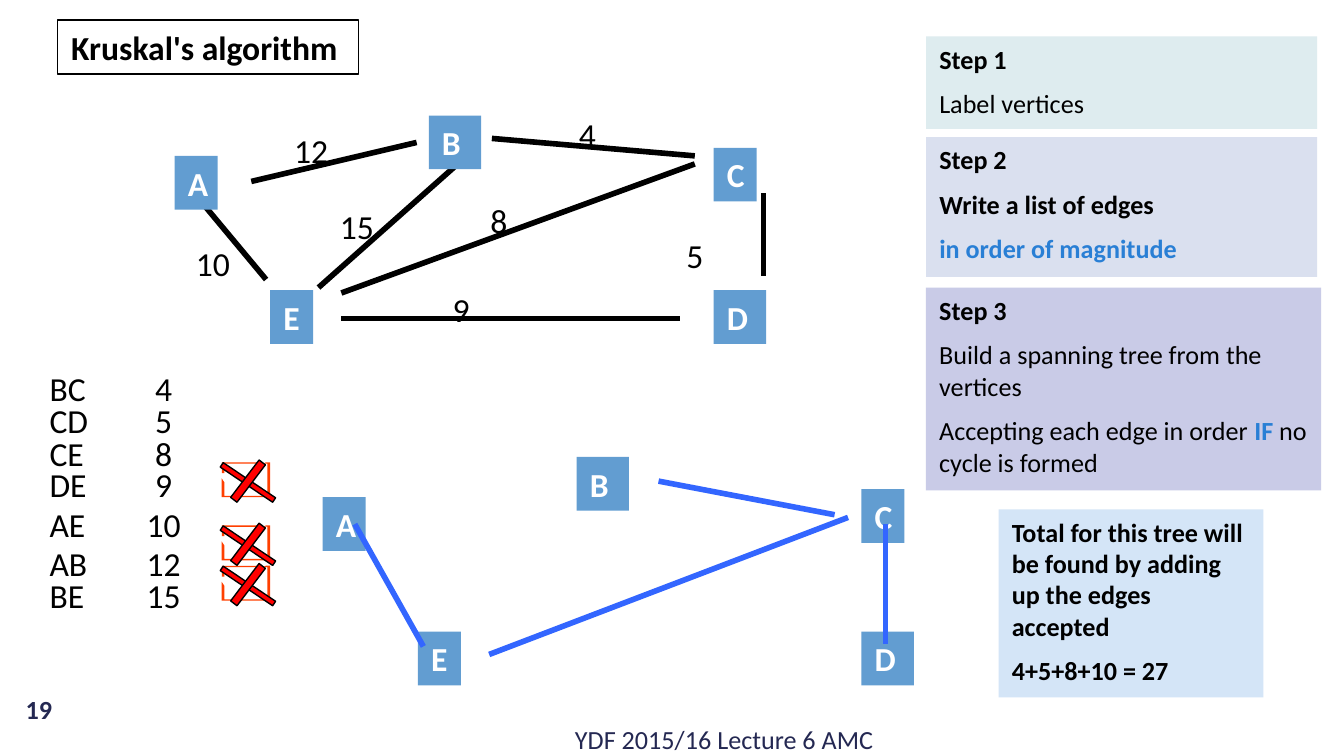
"""Builds the slide on Kruskal's algorithm with its graph, sorted edges and spanning tree."""

from typing import NamedTuple

from lxml.etree import SubElement
from pptx import Presentation
from pptx.dml.color import RGBColor
from pptx.enum.shapes import MSO_CONNECTOR as Connector, MSO_SHAPE as Preset
from pptx.enum.text import MSO_ANCHOR as Anchor, MSO_AUTO_SIZE as AutoSize, PP_ALIGN as Align
from pptx.oxml.ns import qn
from pptx.util import Emu, Inches, Pt

COLORS = {
    "black": "000000", "white": "FFFFFF", "navy": "242852", "vertex": "629DD1",
    "accent": "297FD5", "tree": "3366FF", "box": "FF3F00", "cross": "FF0000",
    "step1": "DEECEF", "step2": "DAE0EF", "step3": "C9CBE7", "total": "D4E5F7",
}
SLIDE_WIDTH = Inches(10)
SLIDE_HEIGHT = Emu(SLIDE_WIDTH * 9 // 16)
CELL = SLIDE_WIDTH // 100
TREE_SHIFT = (11, 25.4)
WEIGHT_TAB = 8.5


class Span(NamedTuple):
    text: str
    bold: bool = False
    color: str = "black"


class Area(NamedTuple):
    left: float
    top: float
    width: float
    height: float


class Vertex(NamedTuple):
    letter: str
    left: float
    top: float
    width: float


class Edge(NamedTuple):
    x1: float
    y1: float
    x2: float
    y2: float


class Weight(NamedTuple):
    value: str
    left: float
    top: float


class Ranked(NamedTuple):
    ends: str
    weight: int
    top: float


class Panel(NamedTuple):
    area: Area
    fill: str
    lines: list[list[Span]]


VERTICES = [
    Vertex("A", 13, 11.6, 3.2), Vertex("E", 20.1, 21.6, 3.2), Vertex("B", 31.9, 8.6, 3.9),
    Vertex("C", 53.1, 11, 3.2), Vertex("D", 53.1, 21.6, 3.9),
]
GRAPH_EDGES = [
    Edge(18.7, 13.5, 31, 10.6), Edge(25.4, 23.7, 50.6, 23.7), Edge(19.8, 20.8, 15.3, 15.4),
    Edge(25.4, 21.8, 51.7, 12.2), Edge(56.8, 20.5, 56.8, 14.4), Edge(36.6, 10.3, 51.7, 11.6),
    Edge(23.7, 21.4, 34.4, 11.9),
]
TREE_EDGES = [
    Edge(49, 35.8, 62.1, 38.3), Edge(65.9, 39, 65.9, 47.9),
    Edge(36.4, 48.7, 63.1, 38.5), Edge(26.4, 39, 31.5, 48.1),
]
WEIGHTS = [
    Weight("12", 20.9, 9.2), Weight("9", 32.7, 21), Weight("10", 13.6, 17.6),
    Weight("8", 35.5, 14.4), Weight("5", 50.1, 17), Weight("4", 42.1, 8),
    Weight("15", 24.3, 14.8),
]
RANKING = [
    Ranked("BC", 4, 26.9), Ranked("CD", 5, 29.3), Ranked("CE", 8, 31.7), Ranked("DE", 9, 34),
    Ranked("AE", 10, 37), Ranked("AB", 12, 39.9), Ranked("BE", 15, 42.3),
]
REJECTED_TOPS = [34.4, 39.1, 42.1]
BOX_OUTLINES = [
    [(3.1, 0.1), (3.3, 0), (3.6, 0), (3.6, 2.6), (0, 2.6), (0, 1.2), (0.2, 1.5),
     (0.2, 2.5), (3.4, 2.5), (3.4, 0.1)],
    [(2.6, 0.1), (0.2, 0.1), (0.2, 0.8), (0, 0.8), (0, 0), (2.8, 0)],
]
CROSS_BARS = [(Area(-0.4, 1.3, 4.7, 0.4), 33.8), (Area(0.2, 1.1, 3.5, 0.6), 127.2)]
PANELS = [
    Panel(Area(68.9, 2.7, 29.1, 6.9), "step1", [[Span("Step 1", True)], [Span("Label vertices")]]),
    Panel(Area(68.9, 10.2, 29.1, 10.4), "step2", [
        [Span("Step 2", True)], [Span("Write a list of edges", True)],
        [Span("in order of magnitude", True, "accent")]]),
    Panel(Area(68.9, 21.4, 29.4, 15.1), "step3", [
        [Span("Step 3", True)], [Span("Build a spanning tree from the vertices")],
        [Span("Accepting each edge in order "), Span("IF", True, "accent"),
         Span(" no cycle is formed")]]),
    Panel(Area(74.3, 37.9, 19.7, 14), "total", [
        [Span("Total for this tree will be found by adding up the edges accepted", True)],
        [Span("4+5+8+10 = 27", True)]]),
]


def cells(count: float) -> Emu:
    return Emu(round(count * CELL))


def rgb(name: str) -> RGBColor:
    return RGBColor.from_string(COLORS[name])


def write(shape, lines: list[list[Span]], size: int, align=Align.LEFT, anchor=Anchor.TOP,
          wrap: bool = True, tab: float = 0) -> None:
    frame = shape.text_frame
    frame_format = {"auto_size": AutoSize.NONE, "word_wrap": wrap, "vertical_anchor": anchor}
    for name, value in frame_format.items():
        setattr(frame, name, value)
    for index, spans in enumerate(lines):
        paragraph = frame.add_paragraph() if index else frame.paragraphs[0]
        paragraph.alignment = align
        paragraph.space_before = Pt(size / 2 if index else 0)
        if tab:
            stops = SubElement(paragraph._p.get_or_add_pPr(), qn("a:tabLst"))
            SubElement(stops, qn("a:tab"), pos=str(cells(tab)), algn="ctr")
        for span in spans:
            run = paragraph.add_run()
            run.text = span.text
            for name, value in {"name": "Calibri", "size": Pt(size), "bold": span.bold}.items():
                setattr(run.font, name, value)
            run.font.color.rgb = rgb(span.color)


def draw_text(slide, area: Area, span: Span, size: int, **layout) -> None:
    write(slide.shapes.add_textbox(*map(cells, area)), [[span]], size, **layout)


def fill_plain(shape, fill: str) -> None:
    shape.shadow.inherit = False
    shape.fill.solid()
    shape.fill.fore_color.rgb = rgb(fill)
    shape.line.fill.background()


def outline(shape) -> None:
    shape.line.color.rgb = rgb("black")
    shape.line.width = Pt(0.75)


def draw_block(slide, area: Area, fill: str):
    block = slide.shapes.add_shape(Preset.RECTANGLE, *map(cells, area))
    fill_plain(block, fill)
    return block


def draw_edge(slide, edge: Edge, color: str) -> None:
    link = slide.shapes.add_connector(Connector.STRAIGHT, *map(cells, edge))
    link.line.color.rgb = rgb(color)
    link.line.width = Pt(3)
    SubElement(link._element.spPr, qn("a:effectLst"))


def draw_vertices(slide, dx: float = 0, dy: float = 0) -> None:
    for vertex in VERTICES:
        area = Area(vertex.left + dx, vertex.top + dy, vertex.width, 4)
        write(draw_block(slide, area, "vertex"), [[Span(vertex.letter, True, "white")]], 18)


def draw_rejection(slide, left: float, top: float) -> None:
    for corners in BOX_OUTLINES:
        start, *rest = [(cells(left + x), cells(top + y)) for x, y in corners]
        builder = slide.shapes.build_freeform(*start)
        builder.add_line_segments(rest, close=True)
        fill_plain(builder.convert_to_shape(), "box")
    for area, angle in CROSS_BARS:
        bar = draw_block(slide, area._replace(left=left + area.left, top=top + area.top), "cross")
        bar.rotation = angle
        outline(bar)


def draw_title(slide, area: Area, text: str) -> None:
    title = slide.shapes.title
    for name, value in zip(area._fields, map(cells, area)):
        setattr(title, name, value)
    outline(title)
    write(title, [[Span(text, True)]], 18, wrap=False)


def main() -> None:
    deck = Presentation()
    deck.slide_width, deck.slide_height = SLIDE_WIDTH, SLIDE_HEIGHT
    slide = deck.slides.add_slide(deck.slide_layouts[5])
    draw_title(slide, Area(4.3, 1.5, 22.4, 4), "Kruskal's algorithm")
    draw_text(slide, Area(6.7, 53.5, 59.3, 3), Span("YDF 2015/16 Lecture 6 AMC", color="navy"), 14,
              align=Align.RIGHT, anchor=Anchor.MIDDLE)
    draw_text(slide, Area(0, 51.2, 5.8, 3.1), Span("19", True, "navy"), 14,
              align=Align.CENTER, anchor=Anchor.MIDDLE)
    for edge in GRAPH_EDGES:
        draw_edge(slide, edge, "black")
    for weight in WEIGHTS:
        draw_text(slide, Area(weight.left, weight.top, 5, 4), Span(weight.value), 18)
    draw_vertices(slide)
    for panel in PANELS:
        write(draw_block(slide, panel.area, panel.fill), panel.lines, 14)
    for ranked in RANKING:
        draw_text(slide, Area(2.7, ranked.top, 18.1, 4),
                  Span(f"{ranked.ends}\t{ranked.weight}"), 18, tab=WEIGHT_TAB)
    draw_vertices(slide, *TREE_SHIFT)
    for top in REJECTED_TOPS:
        draw_rejection(slide, 16.5, top)
    for edge in TREE_EDGES:
        draw_edge(slide, edge, "tree")
    deck.save("out.pptx")


if __name__ == "__main__":
    main()
